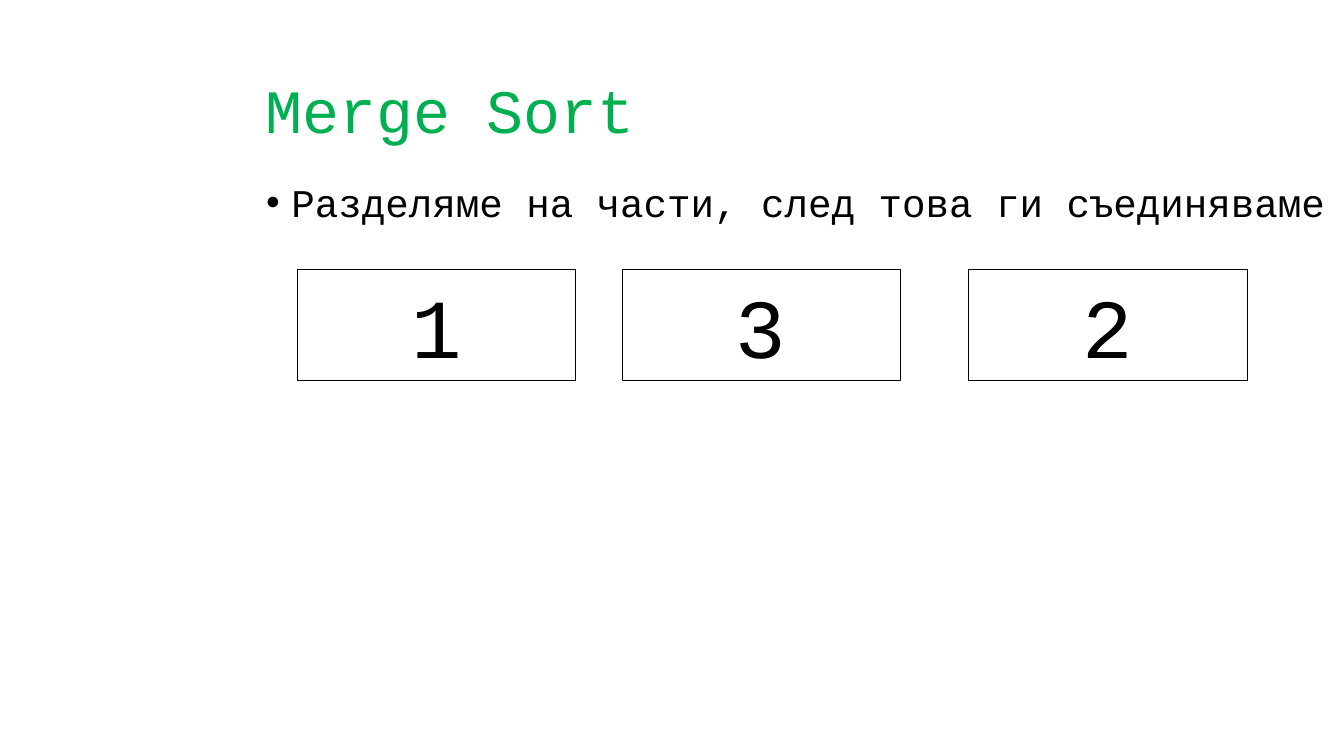
import dataclasses

import pptx
import pptx.dml.color
import pptx.enum.shapes
import pptx.enum.text
import pptx.util

Inches = pptx.util.Inches
Pt = pptx.util.Pt
FONT = "Courier New"
BLACK = "000000"
GREEN = "00B050"


@dataclasses.dataclass
class NumberBox:
    label: str
    left: float


NUMBER_BOXES = [NumberBox("1", 2.95), NumberBox("3", 6.17), NumberBox("2", 9.61)]


def color(hex_value: str) -> pptx.dml.color.RGBColor:
    return pptx.dml.color.RGBColor.from_string(hex_value)


def place(shape, left: float, top: float, width: float, height: float) -> None:
    shape.left, shape.top = Inches(left), Inches(top)
    shape.width, shape.height = Inches(width), Inches(height)


def write(shape, text: str, *, size: float, fill: str = BLACK,
          align=pptx.enum.text.PP_ALIGN.LEFT,
          anchor=pptx.enum.text.MSO_ANCHOR.TOP,
          line_spacing: float = 1.0, space_before: float = 0):
    frame = shape.text_frame
    frame.word_wrap = True
    frame.auto_size = pptx.enum.text.MSO_AUTO_SIZE.NONE
    frame.vertical_anchor = anchor
    para = frame.paragraphs[0]
    para.alignment = align
    para.line_spacing = line_spacing
    para.space_before = Pt(space_before)
    span = para.add_run()
    span.text = text
    span.font.name = FONT
    span.font.size = Pt(size)
    span.font.color.rgb = color(fill)
    return para


def add_number_box(page, number: NumberBox) -> None:
    box = page.shapes.add_shape(
        pptx.enum.shapes.MSO_SHAPE.RECTANGLE,
        Inches(number.left), Inches(2.67), Inches(2.76), Inches(1.11))
    box.shadow.inherit = False
    box.fill.background()
    box.line.color.rgb = color(BLACK)
    box.line.width = Pt(0.75)
    write(box, number.label, size=60, align=pptx.enum.text.PP_ALIGN.CENTER)


def main() -> None:
    deck = pptx.Presentation()
    deck.slide_width, deck.slide_height = Inches(13.33), Inches(7.5)
    page = deck.slides.add_slide(deck.slide_layouts[1])

    title = page.shapes.title
    place(title, 2.53, 0.4, 11.5, 1.45)
    write(title, "Merge Sort", size=44, fill=GREEN, line_spacing=0.9,
          anchor=pptx.enum.text.MSO_ANCHOR.MIDDLE)

    body = page.placeholders[1]
    place(body, 2.54, 1.77, 11.5, 4.76)
    bullet = write(body, "Разделяме на части, след това ги съединяваме",
                   size=28, line_spacing=0.9, space_before=10)
    properties = bullet._p.get_or_add_pPr()
    properties.set("marL", str(Inches(0.25)))
    properties.set("indent", str(-Inches(0.25)))

    for number in NUMBER_BOXES:
        add_number_box(page, number)

    deck.save("out.pptx")


if __name__ == "__main__":
    main()
